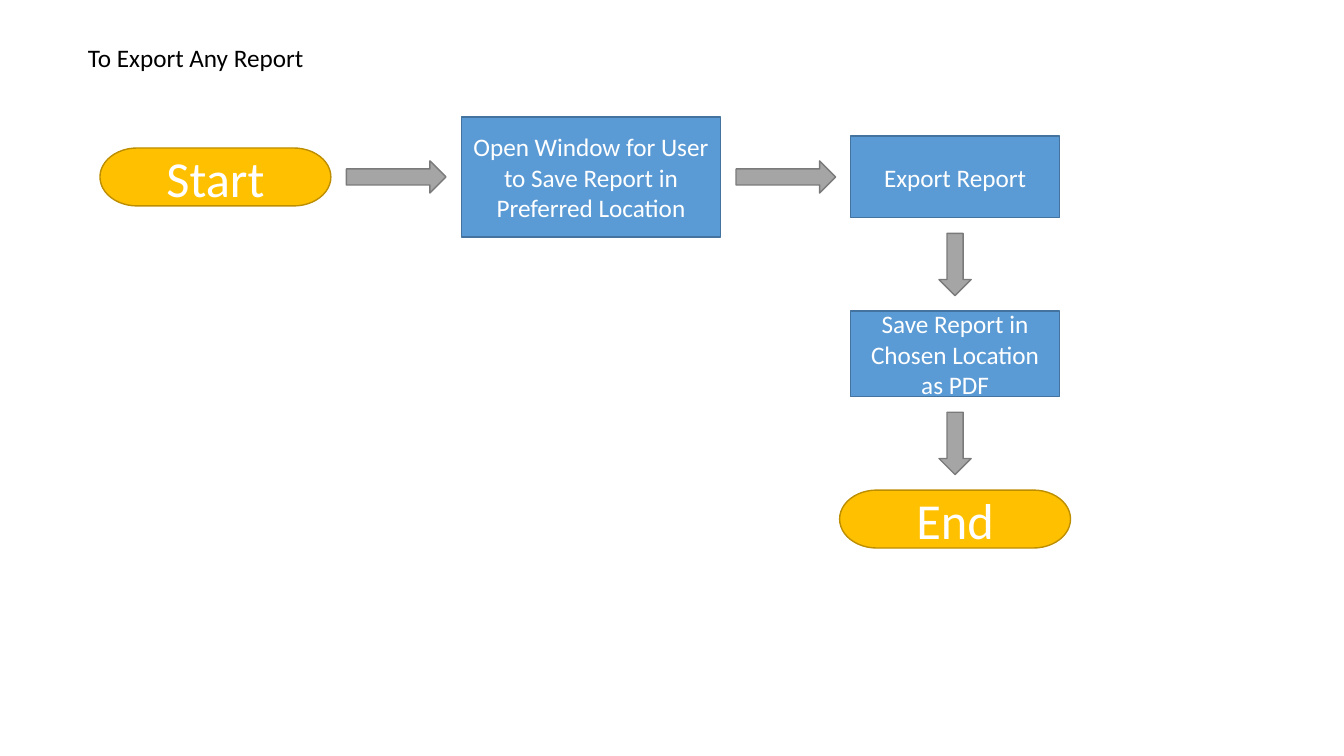
from pptx import Presentation
from pptx.dml.color import RGBColor
from pptx.enum.shapes import MSO_SHAPE as Kind
from pptx.enum.text import MSO_ANCHOR as Anchor, MSO_AUTO_SIZE as Fit, PP_ALIGN as Align
from pptx.util import Cm, Pt

GAP = 0.39
ROW_Y, COL_X = 4.46, 24.07  # centre lines of the flow, in cm


def color(code):
    return RGBColor.from_string(code)


class Flow:
    font = "Calibri"
    gold = ("FFC000", "BD8E00")
    blue = ("5B9BD5", "43739E")
    gray = ("A5A5A5", "7A7A7A")

    def __init__(self, slide):
        self.slide = slide

    def text(self, frame, words, size, ink, align):
        frame.word_wrap = True
        frame.text = words
        par = frame.paragraphs[0]
        par.alignment = align
        par.font.name = self.font
        par.font.size = Pt(size)
        par.font.color.rgb = color(ink)

    def title(self, words, left, top, width, height):
        shape = self.slide.shapes.title
        shape.left, shape.top = Cm(left), Cm(top)
        shape.width, shape.height = Cm(width), Cm(height)
        frame = shape.text_frame
        frame.auto_size = Fit.NONE
        frame.vertical_anchor = Anchor.TOP
        self.text(frame, words, 18, "000000", Align.LEFT)

    def shape(self, kind, left, top, width, height, tone):
        shape = self.slide.shapes.add_shape(
            kind, Cm(left), Cm(top), Cm(width), Cm(height))
        shape.shadow.inherit = False
        shape.fill.solid()
        fill, line = tone
        shape.fill.fore_color.rgb = color(fill)
        shape.line.color.rgb = color(line)
        shape.line.width = Pt(1)
        return shape

    def label(self, shape, words, size):
        shape.text_frame.vertical_anchor = Anchor.MIDDLE
        self.text(shape.text_frame, words, size, "FFFFFF", Align.CENTER)

    def end(self, words, left, top, width, height):
        shape = self.shape(Kind.FLOWCHART_TERMINATOR, left, top, width, height, self.gold)
        self.label(shape, words, 36)

    def step(self, words, left, top, width, height):
        shape = self.shape(Kind.RECTANGLE, left, top, width, height, self.blue)
        self.label(shape, words, 18)

    def right(self, _, left, top, width, height):
        self.shape(Kind.RIGHT_ARROW, left, top, width, height, self.gray)

    def down(self, _, left, top, width, height):
        self.shape(Kind.DOWN_ARROW, left, top, width, height, self.gray)


def main():
    deck = Presentation()
    deck.slide_width, deck.slide_height = Cm(33.87), Cm(19.05)
    flow = Flow(deck.slides.add_slide(deck.slide_layouts[5]))

    # Title
    flow.title("To Export Any Report", 1.96, 0.94, 8.61, 1.02)

    # Row: left to right, centred on ROW_Y
    left = 2.52
    for draw, words, width, height in [
        (flow.end, "Start", 5.82, 1.46),
        (flow.right, "", 2.51, 0.81),
        (flow.step, "Open Window for User to Save Report in Preferred Location", 6.53, 3.02),
        (flow.right, "", 2.51, 0.81),
    ]:
        draw(words, left, ROW_Y - height / 2, width, height)
        left += width + GAP

    # Column: top to bottom, centred on COL_X
    top = 3.43
    for draw, words, width, height in [
        (flow.step, "Export Report", 5.26, 2.06),
        (flow.down, "", 0.81, 1.57),
        (flow.step, "Save Report in Chosen Location as PDF", 5.26, 2.16),
        (flow.down, "", 0.81, 1.57),
        (flow.end, "End", 5.82, 1.46),
    ]:
        draw(words, COL_X - width / 2, top, width, height)
        top += height + GAP

    deck.save("out.pptx")


if __name__ == "__main__":
    main()
